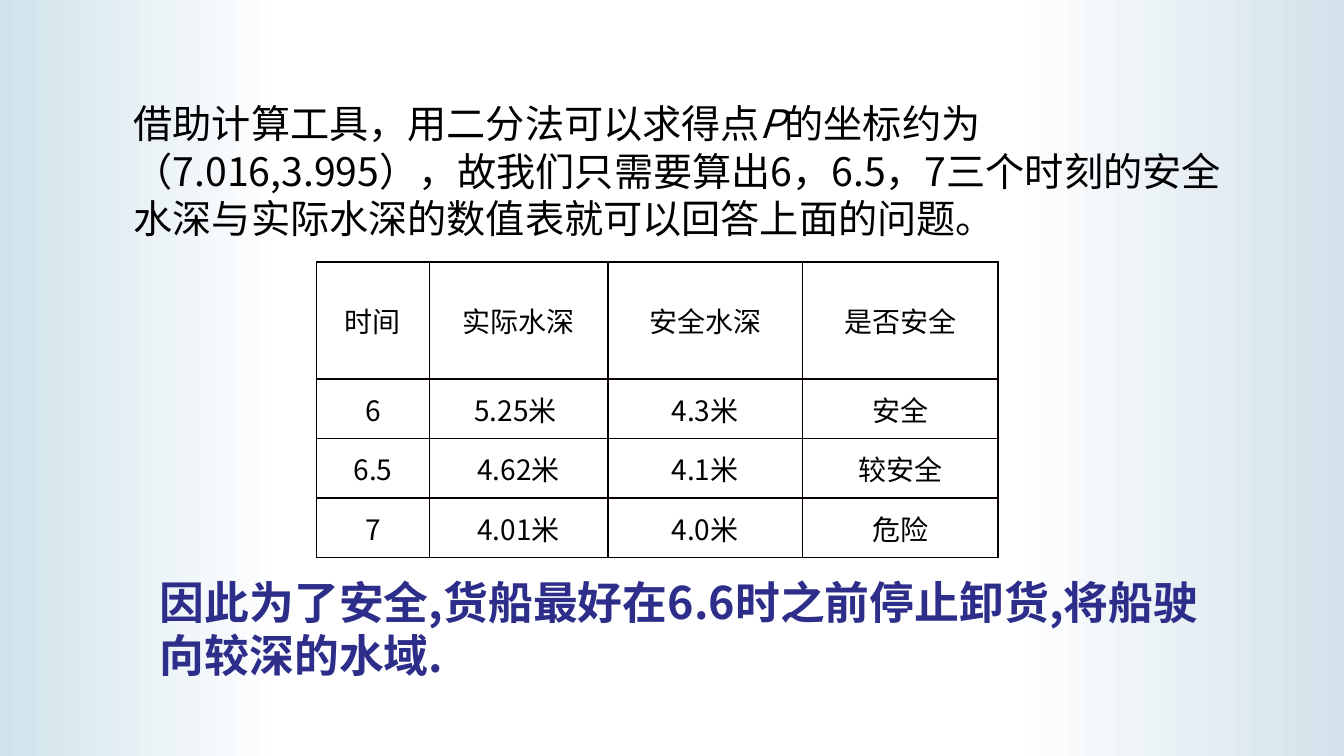
from lxml import etree
from pptx import Presentation
from pptx import util as u
from pptx.dml.color import RGBColor
from pptx.enum import text
from pptx.oxml.ns import qn

FONT = "Noto Sans CJK SC"
BLACK = RGBColor(0x00, 0x00, 0x00)
BORDER = RGBColor(0x08, 0x00, 0x00)
NAVY = RGBColor(0x2D, 0x2D, 0x8A)
WHITE = RGBColor(0xFF, 0xFF, 0xFF)
LEFT_EDGE = RGBColor(0xD0, 0xE3, 0xEB)
RIGHT_EDGE = RGBColor(0xD3, 0xE2, 0xEB)

BACKGROUND_STOPS = [(0, LEFT_EDGE), (21, WHITE), (75, WHITE), (100, RIGHT_EDGE)]

DEPTH_ROWS = [
    ("时间", "实际水深", "安全水深", "是否安全"),
    ("6", "5.25米 ", "4.3米", "安全"),
    ("6.5", "4.62米", "4.1米", "较安全"),
    ("7", "4.01米", "4.0米", "危险"),
]
COLUMN_WIDTHS = [2.84, 4.5, 4.9, 4.93]
ROW_HEIGHTS = [2.95, 1.5, 1.5, 1.5]


def add_color(parent, color):
    etree.SubElement(parent, qn("a:srgbClr"), val=str(color))


def paint_background(page):
    fill = page.background.fill
    fill.gradient()
    fill.gradient_angle = 0
    stops = page.background._cSld.find(".//" + qn("a:gsLst"))
    for stop in list(stops):
        stops.remove(stop)
    for percent, color in BACKGROUND_STOPS:
        add_color(etree.SubElement(stops, qn("a:gs"), pos=str(percent * 1000)), color)


def add_span(para, wording, size, color=BLACK, bold=False, italic=False):
    span = para.add_run()
    span.text = wording
    font = span.font
    font.name, font.size, font.bold, font.italic = FONT, u.Pt(size), bold, italic
    font.color.rgb = color
    etree.SubElement(font._element, qn("a:ea"), typeface=FONT)


def add_paragraph_box(page, left, top, width, height):
    """Add a wrapping text box and return its first paragraph."""
    box = page.shapes.add_textbox(u.Cm(left), u.Cm(top), u.Cm(width), u.Cm(height))
    box.text_frame.word_wrap = True
    box.text_frame.auto_size = text.MSO_AUTO_SIZE.SHAPE_TO_FIT_TEXT
    return box.text_frame.paragraphs[0]


def add_explanation(page, left, top, width, height):
    para = add_paragraph_box(page, left, top, width, height)
    add_span(para, "借助计算工具，用二分法可以求得点", 28)
    add_span(para, "P", 28, italic=True)
    add_span(para, "的坐标约为（7.016,3.995），故我们只需要算出6，6.5，7三个时刻的"
                   "安全水深与实际水深的数值表就可以回答上面的问题。", 28)


def add_conclusion(page, left, top, width, height):
    para = add_paragraph_box(page, left, top, width, height)
    add_span(para, "因此为了安全,货船最好在6.6时之前停止卸货,将船驶向较深的水域.",
             32, NAVY, bold=True)


def format_cell(cell, wording):
    cell.margin_left = cell.margin_right = u.Cm(0.18)
    cell.margin_top = cell.margin_bottom = 0
    cell.vertical_anchor = text.MSO_ANCHOR.MIDDLE
    properties = cell._tc.get_or_add_tcPr()
    for side in ("lnL", "lnR", "lnT", "lnB"):
        line = etree.SubElement(properties, qn("a:" + side), w=str(u.Pt(1)))
        add_color(etree.SubElement(line, qn("a:solidFill")), BORDER)
    cell.fill.background()
    para = cell.text_frame.paragraphs[0]
    para.alignment = text.PP_ALIGN.CENTER
    add_span(para, wording, 20)


def add_depth_table(page, left, top):
    frame = page.shapes.add_table(
        len(ROW_HEIGHTS), len(COLUMN_WIDTHS), u.Cm(left), u.Cm(top),
        u.Cm(sum(COLUMN_WIDTHS)), u.Cm(sum(ROW_HEIGHTS)))
    table = frame.table
    table.first_row = table.horz_banding = False
    for column, width in zip(table.columns, COLUMN_WIDTHS):
        column.width = u.Cm(width)
    for row, height, wordings in zip(table.rows, ROW_HEIGHTS, DEPTH_ROWS):
        row.height = u.Cm(height)
        for cell, wording in zip(row.cells, wordings):
            format_cell(cell, wording)


def main():
    deck = Presentation()
    deck.slide_width, deck.slide_height = u.Cm(33.87), u.Cm(19.05)
    page = deck.slides.add_slide(deck.slide_layouts.get_by_name("Blank"))
    paint_background(page)
    add_explanation(page, 3.12, 2.39, 28.83, 3.84)
    add_depth_table(page, 7.98, 6.6)
    add_conclusion(page, 3.78, 14.35, 27.69, 3)
    deck.save("out.pptx")


if __name__ == "__main__":
    main()
